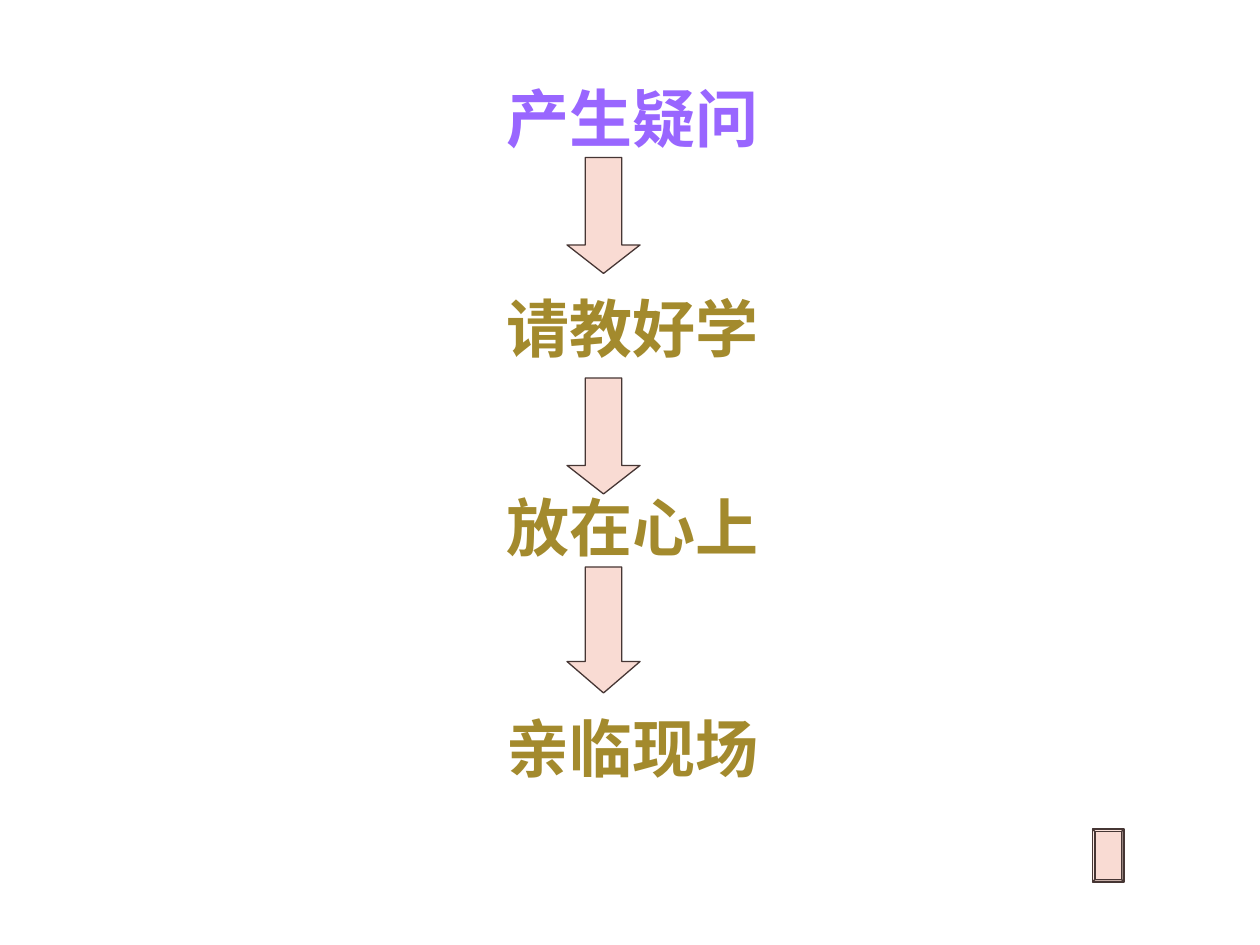
from lxml.etree import SubElement
from pptx import Presentation
from pptx.dml.color import RGBColor
from pptx.enum.shapes import MSO_SHAPE as Shape
from pptx.oxml.ns import qn
from pptx.util import Inches, Pt

VIOLET = RGBColor(0x99, 0x66, 0xFF)
OLIVE = RGBColor(0xA3, 0x8A, 0x2D)
PINK = RGBColor(0xF9, 0xDB, 0xD3)
BROWN = RGBColor(0x46, 0x36, 0x34)
FONT = "Arial"

deck = Presentation()
deck.slide_width, deck.slide_height = Inches(10), Inches(7.5)
slide = deck.slides.add_slide(deck.slide_layouts[6])


def add_form(kind, left, top, width, height, adjust):
    form = slide.shapes.add_shape(
        kind, Inches(left), Inches(top), Inches(width), Inches(height))
    for i, value in enumerate(adjust):
        form.adjustments[i] = value
    form.shadow.inherit = False
    form.fill.solid()
    form.fill.fore_color.rgb = PINK
    form.line.color.rgb = BROWN
    form.line.width = Pt(0.75)


# Steps of the flow: text, top, width, colour
steps = [
    ("产生疑问", 0.58, 2.58, VIOLET),
    ("请教好学", 2.25, 2.75, OLIVE),
    ("放在心上", 3.83, 2.33, OLIVE),
    ("亲临现场", 5.58, 2.58, OLIVE),
]
style = {"name": FONT, "size": Pt(36), "bold": True}
for text, top, width, color in steps:
    box = slide.shapes.add_textbox(
        Inches(3.92), Inches(top), Inches(width), Inches(0.7))
    box.text_frame.word_wrap = True
    run = box.text_frame.paragraphs[0].add_run()
    run.text = text
    for key, value in style.items():
        setattr(run.font, key, value)
    run.font.color.rgb = color
    # East Asian typeface for the Chinese text
    SubElement(run._r.get_or_add_rPr(), qn("a:ea")).set("typeface", FONT)

# Arrows between the steps: top, height, head length
for top, height, head in [(1.25, 0.92, 0.39), (3, 0.92, 0.39), (4.5, 1, 0.43)]:
    add_form(Shape.DOWN_ARROW, 4.5, top, 0.58, height, [0.5, head])

# Bevelled button in the corner
add_form(Shape.BEVEL, 8.67, 6.58, 0.25, 0.42, [0.08])

deck.save("out.pptx")
